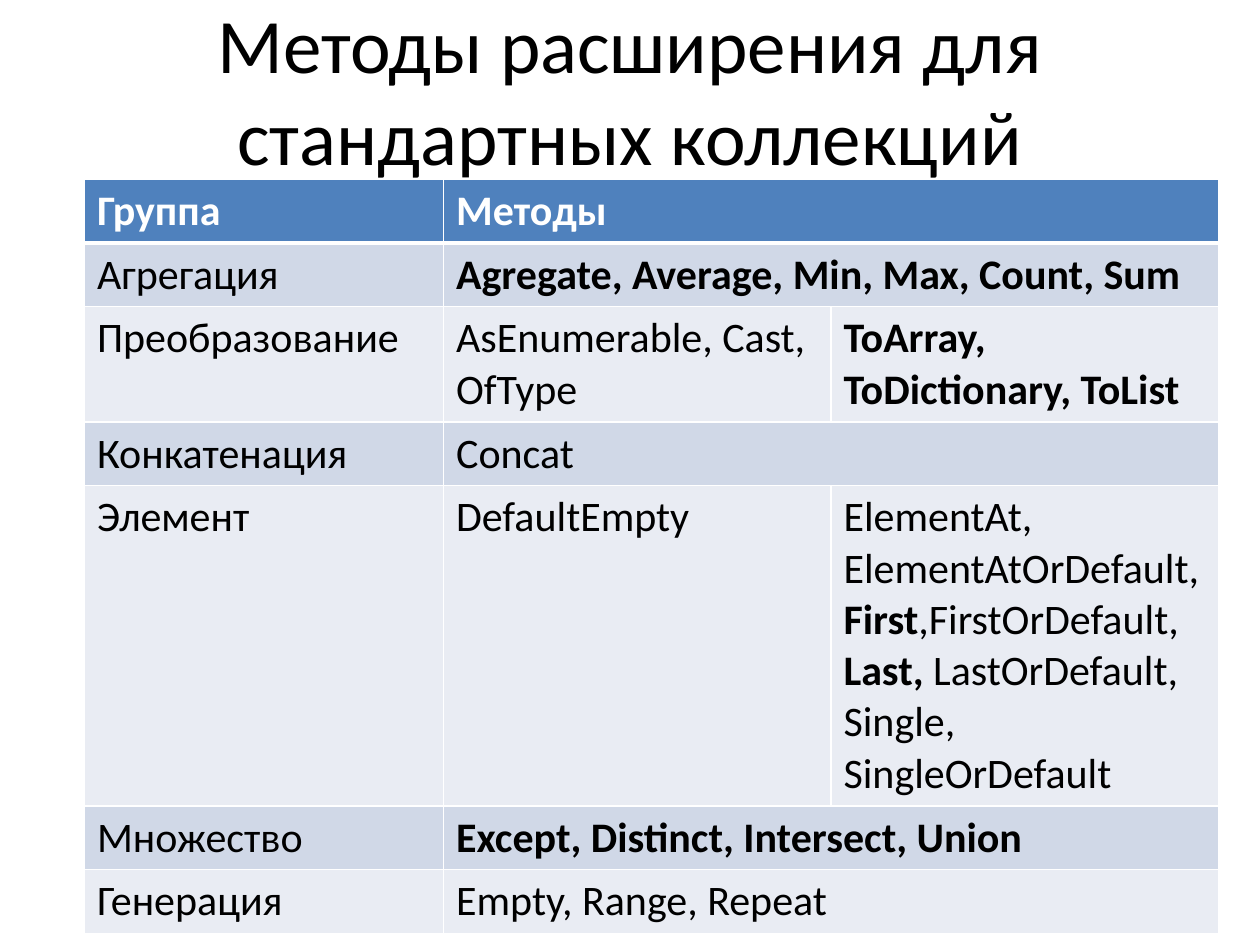
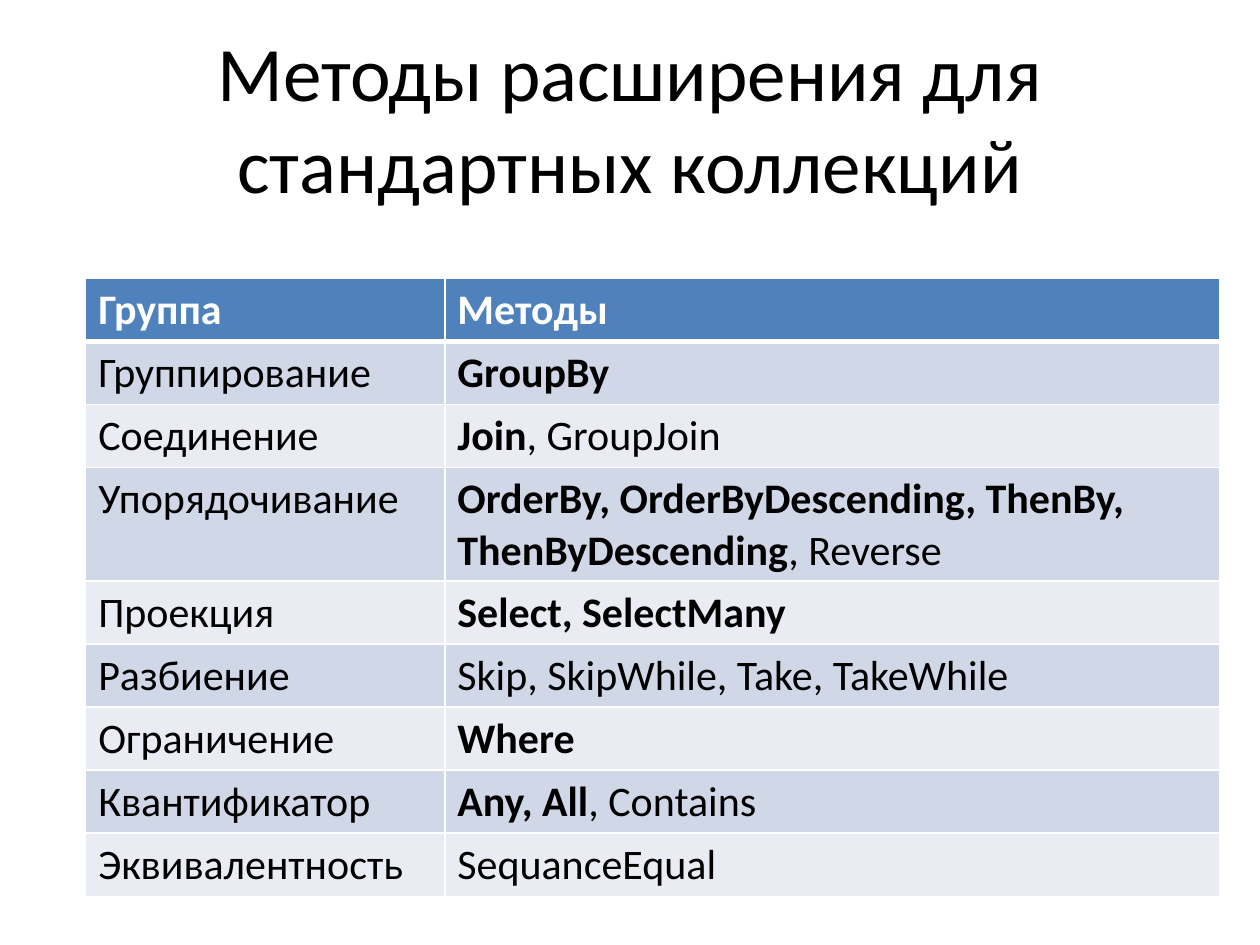
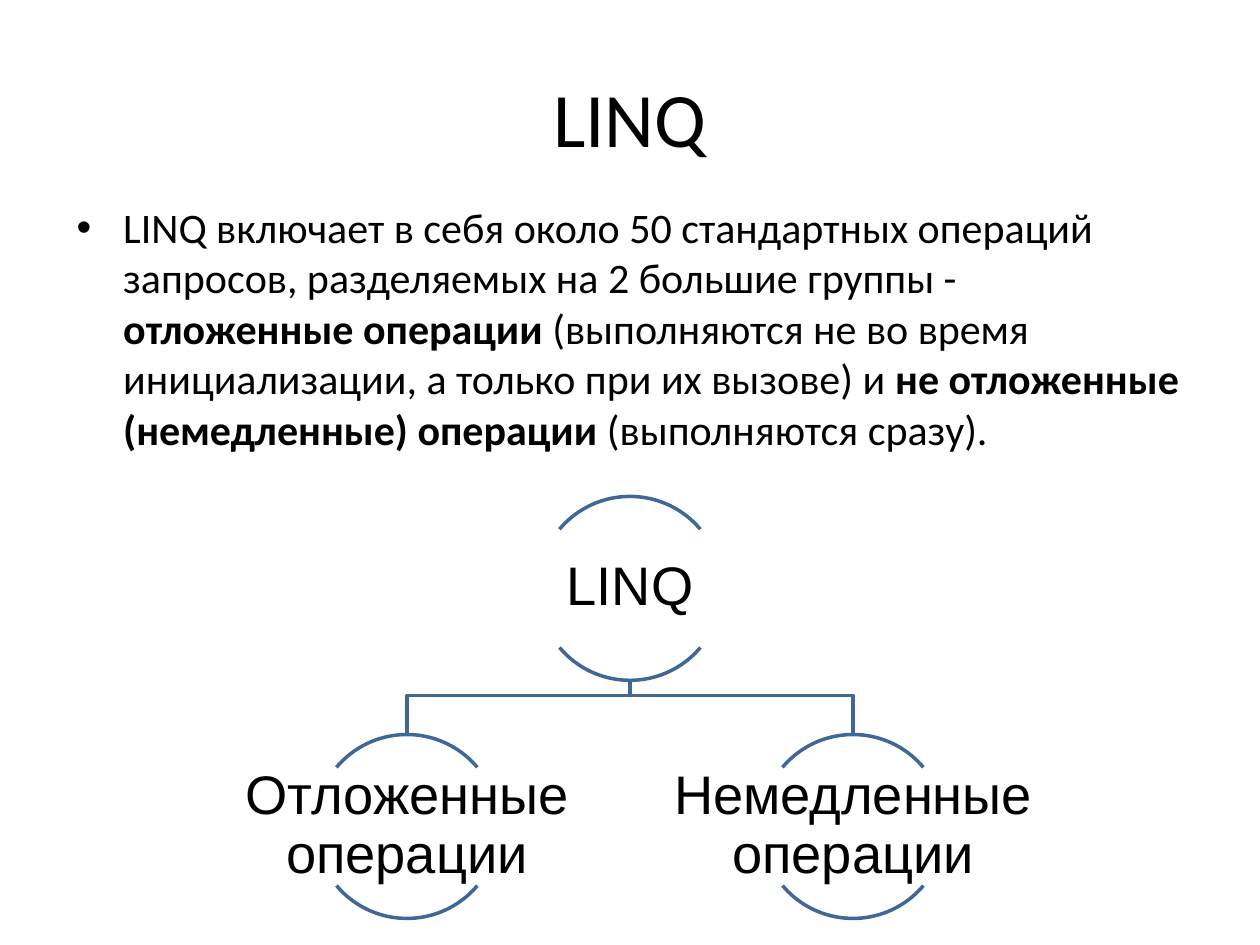
from dataclasses import dataclass
from typing import Any

from lxml import etree
from pptx import Presentation
from pptx import util as u
from pptx.dml.color import RGBColor
from pptx.enum import shapes, text
from pptx.oxml.ns import qn

BLACK, WHITE = "000000", "FFFFFF"
HEADER, BAND_DARK, BAND_LIGHT = "4F81BD", "D0D8E7", "E9ECF3"
DIAGRAM_LINE = "3F6797"
METHODS_TITLE = "Методы расширения для стандартных коллекций"
TITLE_FONT = {"name": "Calibri", "size": u.Pt(44)}
BODY_FONT = {"name": "Calibri", "size": u.Pt(24)}
NODE_FONT = {"name": "Arial", "size": u.Pt(31)}
GROUP_WIDTH, TABLE_WIDTH = 2.85, 9
DIAMETER = 1.46
ARCS = ((220, 320), (40, 140))


@dataclass
class Row:
    cells: tuple[str, ...]
    lines: int = 1


@dataclass
class Node:
    label: str
    center: float
    top: float


EXTENSION_ROWS = [
    Row(("**Группа**", "**Методы**")),
    Row(("Агрегация", "**Agregate, Average, Min, Max, Count, Sum**")),
    Row(("Преобразование", "AsEnumerable, Cast, OfType", "**ToArray, ToDictionary, ToList**"), 2),
    Row(("Конкатенация", "Concat")),
    Row(("Элемент", "DefaultEmpty",
         "ElementAt, ElementAtOrDefault, **First**,FirstOrDefault, "
         "**Last, **LastOrDefault, Single, SingleOrDefault"), 6),
    Row(("Множество", "**Except, Distinct, Intersect, Union**")),
    Row(("Генерация", "Empty, Range, Repeat")),
]
QUERY_ROWS = [
    Row(("**Группа**", "**Методы**")),
    Row(("Группирование", "**GroupBy**")),
    Row(("Соединение", "**Join**, GroupJoin")),
    Row(("Упорядочивание",
         "**OrderBy, OrderByDescending, ThenBy, ThenByDescending**, Reverse"), 2),
    Row(("Проекция", "**Select, SelectMany**")),
    Row(("Разбиение", "Skip, SkipWhile, Take, TakeWhile")),
    Row(("Ограничение", "**Where**")),
    Row(("Квантификатор", "**Any, All**, Contains")),
    Row(("Эквивалентность", "SequanceEqual")),
]
LINQ_SUMMARY = (
    "LINQ включает в себя около 50 стандартных операций запросов, разделяемых на "
    "2 большие группы - **отложенные операции** (выполняются не во время инициализации, "
    "а только при их вызове) и **не отложенные (немедленные) операции** (выполняются сразу)."
)
ROOT = Node("LINQ", 5, 3.94)
CHILDREN = [Node("Отложенные операции", 3.23, 5.83), Node("Немедленные операции", 6.77, 5.83)]


def rgb(color: str) -> RGBColor:
    return RGBColor.from_string(color)


def apply(target: Any, values: dict[str, Any]) -> None:
    for name, value in values.items():
        setattr(target, name, value)


def write(p: Any, marked: str, font: dict[str, Any], color: str = BLACK) -> None:
    for i, part in enumerate(marked.split("**")):
        if part:
            r = p.add_run()
            r.text = part
            apply(r.font, font | {"bold": i % 2 == 1})
            r.font.color.rgb = rgb(color)


def add_text(parent: Any, box: tuple[float, ...], marked: str, font: dict[str, Any],
             frame: dict[str, Any], para: dict[str, Any]) -> Any:
    tf = parent.add_textbox(*map(u.Inches, box)).text_frame
    apply(tf, {"word_wrap": True} | frame)
    p = tf.paragraphs[0]
    apply(p, para)
    write(p, marked, font)
    return p


def add_title(slide: Any, title: str, top: float = 0.3) -> None:
    add_text(slide.shapes, (0.5, top, 9, 1.25), title, TITLE_FONT,
             {"vertical_anchor": text.MSO_ANCHOR.MIDDLE}, {"alignment": text.PP_ALIGN.CENTER})


def add_bullet(p: Any, margin: float, indent: float) -> None:
    pPr = p._p.get_or_add_pPr()
    pPr.set("marL", str(u.Inches(margin)))
    pPr.set("indent", str(u.Inches(indent)))
    etree.SubElement(pPr, qn("a:buFont"), typeface="Arial")
    etree.SubElement(pPr, qn("a:buChar"), char="•")


def set_borders(cell: Any, widths: dict[str, float]) -> None:
    tcPr = cell._tc.get_or_add_tcPr()
    for i, (side, width) in enumerate(widths.items()):
        ln = etree.Element(qn(f"a:ln{side}"), w=str(u.Pt(width)))
        fill = etree.SubElement(ln, qn("a:solidFill"))
        etree.SubElement(fill, qn("a:srgbClr"), val=WHITE)
        tcPr.insert(i, ln)


def add_methods_table(slide: Any, left: float, top: float, rows: list[Row]) -> None:
    columns = max(len(row.cells) for row in rows)
    heights = [0.1 + row.lines / 3 for row in rows]
    table = slide.shapes.add_table(len(rows), columns, u.Inches(left), u.Inches(top),
                                   u.Inches(TABLE_WIDTH), u.Inches(sum(heights))).table
    method_width = (TABLE_WIDTH - GROUP_WIDTH) / (columns - 1)
    for c, column in enumerate(table.columns):
        column.width = u.Inches(method_width if c else GROUP_WIDTH)
    for i, (row, height) in enumerate(zip(rows, heights)):
        table.rows[i].height = u.Inches(height)
        fill = (BAND_DARK if i % 2 else BAND_LIGHT) if i else HEADER
        widths = {"L": 0.96, "R": 0.96, "T": 3 if i == 1 else 0.96, "B": 0.96 if i else 3}
        for c in range(columns):
            cell = table.cell(i, c)
            cell.fill.solid()
            cell.fill.fore_color.rgb = rgb(fill)
            set_borders(cell, widths)
        if len(row.cells) < columns:
            table.cell(i, len(row.cells) - 1).merge(table.cell(i, columns - 1))
        for c, marked in enumerate(row.cells):
            write(table.cell(i, c).text_frame.paragraphs[0], marked, BODY_FONT,
                  BLACK if i else WHITE)


def outline(sp: Any) -> None:
    sp.shadow.inherit = False
    sp.fill.background()
    sp.line.color.rgb = rgb(DIAGRAM_LINE)
    sp.line.width = u.Pt(2)


def add_branch(group: Any, parent: Node, child: Node) -> None:
    start, bend = parent.top + DIAMETER, 5.52
    points = [(parent.center, bend), (child.center, bend), (child.center, child.top)]
    builder = group.build_freeform(u.Inches(parent.center), u.Inches(start))
    builder.add_line_segments([(u.Inches(x), u.Inches(y)) for x, y in points], close=False)
    outline(builder.convert_to_shape())


def add_node(group: Any, node: Node) -> None:
    for angles in ARCS:
        sp = group.add_shape(shapes.MSO_SHAPE.ARC, u.Inches(node.center - DIAMETER / 2),
                             u.Inches(node.top), u.Inches(DIAMETER), u.Inches(DIAMETER))
        for i, angle in enumerate(angles):
            sp.adjustments[i] = angle * 0.6
        outline(sp)
    margins = {f"margin_{side}": u.Inches(0.02) for side in ("left", "top", "right", "bottom")}
    width = 2 * DIAMETER
    add_text(group, (node.center - width / 2, node.top + 0.26, width, 0.94), node.label, NODE_FONT,
             margins | {"vertical_anchor": text.MSO_ANCHOR.MIDDLE},
             {"alignment": text.PP_ALIGN.CENTER, "line_spacing": 0.9})


def main() -> None:
    prs = Presentation()
    prs.slide_width, prs.slide_height = u.Inches(10), u.Inches(7.5)
    extensions, queries, linq = (prs.slides.add_slide(prs.slide_layouts[6]) for _ in range(3))

    add_methods_table(extensions, 0.67, 1.42, EXTENSION_ROWS)
    add_title(extensions, METHODS_TITLE, 0.08)

    add_title(queries, METHODS_TITLE)
    add_methods_table(queries, 0.68, 2.21, QUERY_ROWS)

    add_title(linq, "LINQ")
    summary = add_text(linq.shapes, (0.5, 1.55, 9, 1.9), LINQ_SUMMARY, BODY_FONT, {}, {})
    add_bullet(summary, 0.38, -0.37)
    group = linq.shapes.add_group_shape().shapes
    for child in CHILDREN:
        add_branch(group, ROOT, child)
    for node in (ROOT, *CHILDREN):
        add_node(group, node)

    prs.save("out.pptx")


if __name__ == "__main__":
    main()
